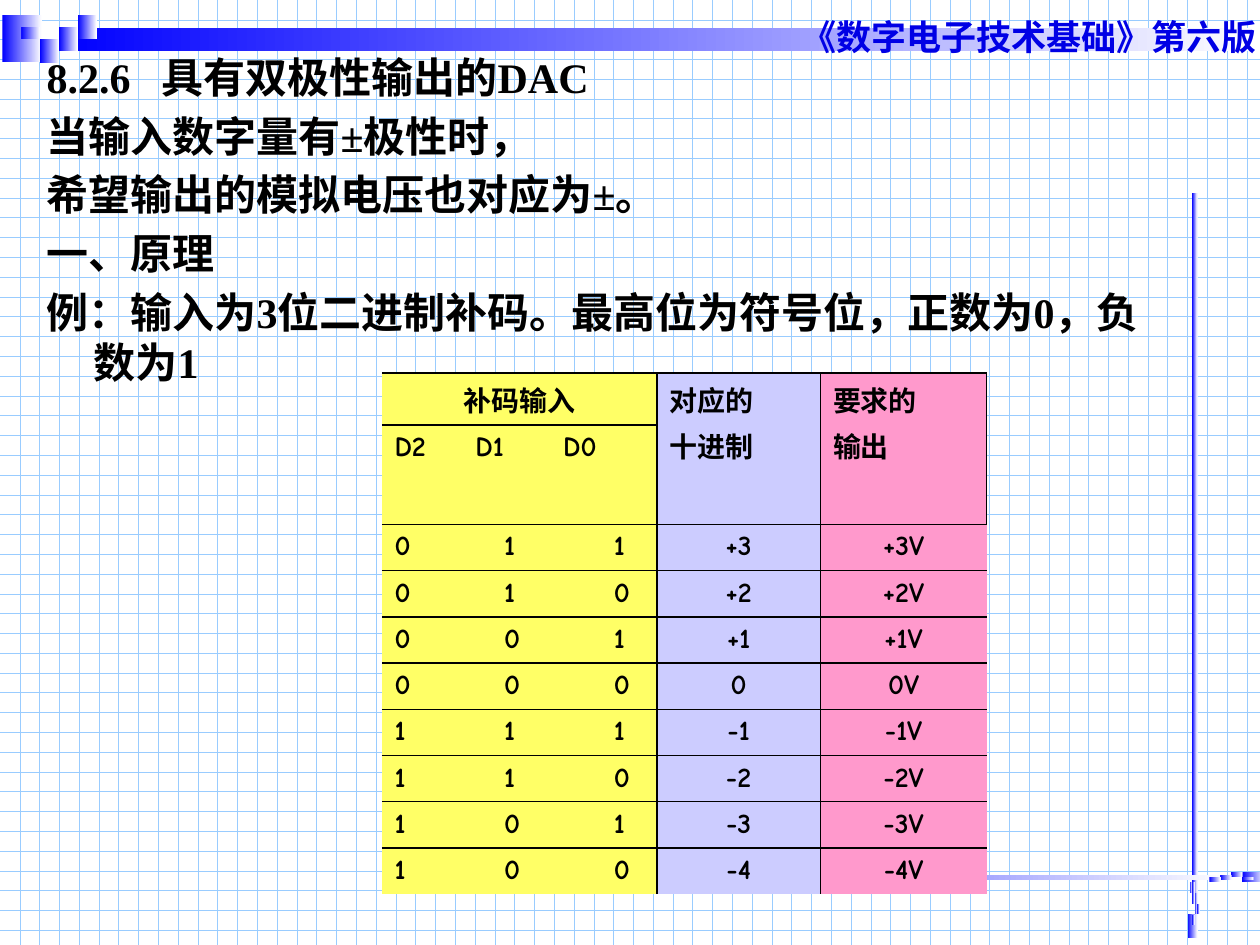
from lxml.etree import SubElement
from pptx import Presentation
from pptx.dml.color import RGBColor
from pptx.enum.dml import MSO_PATTERN
from pptx.enum.shapes import MSO_SHAPE
from pptx.enum.text import PP_ALIGN
from pptx.oxml import parse_xml
from pptx.oxml.ns import nsdecls, qn
from pptx.util import Cm, Pt

BLUE = RGBColor(0x00, 0x00, 0xFF)
TITLE_BLUE = RGBColor(0x00, 0x00, 0xE5)
GRID_BLUE = RGBColor(0x99, 0xCC, 0xFF)
WHITE = RGBColor(0xFF, 0xFF, 0xFF)
BLACK = RGBColor(0x00, 0x00, 0x00)
YELLOW = RGBColor(0xFF, 0xFF, 0x66)
LILAC = RGBColor(0xCC, 0xCC, 0xFF)
PINK = RGBColor(0xFF, 0x99, 0xCC)

BOOK_TITLE = "《数字电子技术基础》第六版"
SECTION_TITLE = "8.2.6\t具有双极性输出的DAC"
EXPLANATION = [
    "当输入数字量有±极性时，",
    "希望输出的模拟电压也对应为±。",
    "一、原理",
    "例：输入为3位二进制补码。最高位为符号位，正数为0，负数为1",
]
CODE_HEADING = "补码输入"
BIT_NAMES = "D2\tD1\tD0"
DECIMAL_HEADING = ["对应的", "十进制"]
OUTPUT_HEADING = ["要求的", "输出"]
CODES = [
    ("011", "+3"), ("010", "+2"), ("001", "+1"), ("000", "0"),
    ("111", "-1"), ("110", "-2"), ("101", "-3"), ("100", "-4"),
]
COLUMN_WIDTHS = [2.21, 2.21, 1.12, 3.3, 3.35]
COLUMN_FILLS = [YELLOW, YELLOW, YELLOW, LILAC, PINK]
ROW_HEIGHTS = [1.05, 2] + [0.93] * len(CODES)
NO_GRID_STYLE = "{2D5ABB26-0587-4C30-8999-92F81FD0307C}"

ORNAMENTS = [
    dict(rotation=0, bars=[(0.05, 0.31, 0.79, 0.94), (1.19, 0.56, 24.21, 0.48)],
         origin=(0.05, 0.31), step=(0.38, 0.24), tile=(0.38, 0.24),
         tiles=[(3, 1), (4, 0), (4, 1), (2, 2), (1, 1), (3, 2), (2, 3)]),
    dict(rotation=270, bars=[(23.8, 18.57, 0.48, 0.2), (16.92, 11, 14.33, 0.1)],
         origin=(23.9, 17.86), step=(0.05, 0.22), tile=(0.22, 0.05),
         tiles=[(1, 1), (0, 0), (1, 0), (2, 2), (1, 3), (2, 1), (3, 2)]),
    dict(rotation=180, bars=[(25.04, 17.58, 0.46, 0.2), (10.52, 17.63, 14.33, 0.1)],
         origin=(24.38, 17.58), step=(0.22, 0.05), tile=(0.22, 0.05),
         tiles=[(1, 2), (0, 3), (0, 2), (2, 1), (3, 2), (1, 1), (2, 0)]),
]


def write(frame, lines, size=16, font="Comic Neue", color=BLACK,
          align=PP_ALIGN.LEFT, hanging=0, tabs=()):
    frame.word_wrap = True
    for index, line in enumerate(lines):
        paragraph = frame.paragraphs[0] if index == 0 else frame.add_paragraph()
        paragraph.alignment = align
        properties = paragraph._p.get_or_add_pPr()
        if "\t" in line:
            stops = SubElement(properties, qn("a:tabLst"))
            for position in tabs:
                SubElement(stops, qn("a:tab"), pos=str(Cm(position)), algn="l")
        elif hanging:
            properties.set("marL", str(Cm(hanging)))
            properties.set("indent", str(-Cm(hanging)))
        if index:
            paragraph.space_before = Pt(size * 0.2)
        run = paragraph.add_run()
        run.text = line
        run.font.size = Pt(size)
        run.font.name = font
        run.font.bold = True
        run.font.color.rgb = color


def add_ornament(slide, rotation, bars, origin, step, tile, tiles):
    group = slide.shapes.add_group_shape()
    places = [(origin[0] + column * step[0], origin[1] + row * step[1], *tile)
              for column, row in tiles]
    for place in bars + places:
        block = group.shapes.add_shape(MSO_SHAPE.RECTANGLE, *map(Cm, place))
        block.rotation = rotation
        block.shadow.inherit = False
        block.line.fill.background()
        block.fill.gradient()
        block.fill.gradient_angle = 0
        for stop, color in zip(block.fill.gradient_stops, (BLUE, WHITE)):
            stop.color.rgb = color
        block._element.spPr.find(qn("a:gradFill")).set("rotWithShape", "0")


def add_borders(cell, sides):
    properties = cell._tc.get_or_add_tcPr()
    for index, side in enumerate(sides):
        properties.insert(index, parse_xml(
            f'<a:ln{side} {nsdecls("a")} w="12700"><a:solidFill>'
            f'<a:srgbClr val="{BLACK}"/></a:solidFill></a:ln{side}>'))


def add_code_table(slide):
    frame = slide.shapes.add_table(len(ROW_HEIGHTS), len(COLUMN_WIDTHS), Cm(7.7), Cm(7.52),
                                   Cm(sum(COLUMN_WIDTHS)), Cm(sum(ROW_HEIGHTS)))
    frame._element.find(".//" + qn("a:tableStyleId")).text = NO_GRID_STYLE
    table = frame.table
    table.first_row = table.horz_banding = False
    for column, width in zip(table.columns, COLUMN_WIDTHS):
        column.width = Cm(width)
    for row, height in zip(table.rows, ROW_HEIGHTS):
        row.height = Cm(height)

    last_row = len(ROW_HEIGHTS) - 1
    for r in range(last_row + 1):
        for c, fill in enumerate(COLUMN_FILLS):
            cell = table.cell(r, c)
            cell.fill.solid()
            cell.fill.fore_color.rgb = fill
            sides = ["L"] if c in (3, 4) else []
            sides += ["R"] if c in (2, 3) else []
            sides += ["T"] if not (r == 1 and c > 2) else []
            sides += ["B"] if r < last_row and not (r == 0 and c > 2) else []
            add_borders(cell, sides)

    for first, last in [((0, 0), (0, 2)), ((1, 0), (1, 2)), ((0, 3), (1, 3)), ((0, 4), (1, 4))]:
        table.cell(*first).merge(table.cell(*last))
    write(table.cell(0, 0).text_frame, [CODE_HEADING], align=PP_ALIGN.CENTER)
    write(table.cell(1, 0).text_frame, [BIT_NAMES], tabs=(1.63, 3.4))
    write(table.cell(0, 3).text_frame, DECIMAL_HEADING)
    write(table.cell(0, 4).text_frame, OUTPUT_HEADING)
    for r, (bits, decimal) in enumerate(CODES, start=2):
        for c, value in enumerate([*bits, decimal, decimal + "V"]):
            write(table.cell(r, c).text_frame, [value],
                  align=PP_ALIGN.CENTER if c > 2 else PP_ALIGN.LEFT)


def main():
    deck = Presentation()
    deck.slide_width, deck.slide_height = Cm(25.4), Cm(19.05)
    slide = deck.slides.add_slide(deck.slide_layouts[6])
    paper = slide.background.fill
    paper.patterned()
    paper.pattern = MSO_PATTERN.DOTTED_GRID
    paper.fore_color.rgb = GRID_BLUE
    paper.back_color.rgb = WHITE

    for ornament in ORNAMENTS:
        add_ornament(slide, **ornament)
    header = slide.shapes.add_textbox(Cm(15.9), Cm(0.18), Cm(10.31), Cm(1.09))
    write(header.text_frame, [BOOK_TITLE], size=20, font="Arial", color=TITLE_BLUE)
    body = slide.shapes.add_textbox(Cm(0.69), Cm(0.91), Cm(22.61), Cm(7.19))
    write(body.text_frame, [SECTION_TITLE, *EXPLANATION], size=24,
          font="Times New Roman", hanging=0.95, tabs=(2.32,))
    add_code_table(slide)
    deck.save("out.pptx")


if __name__ == "__main__":
    main()
